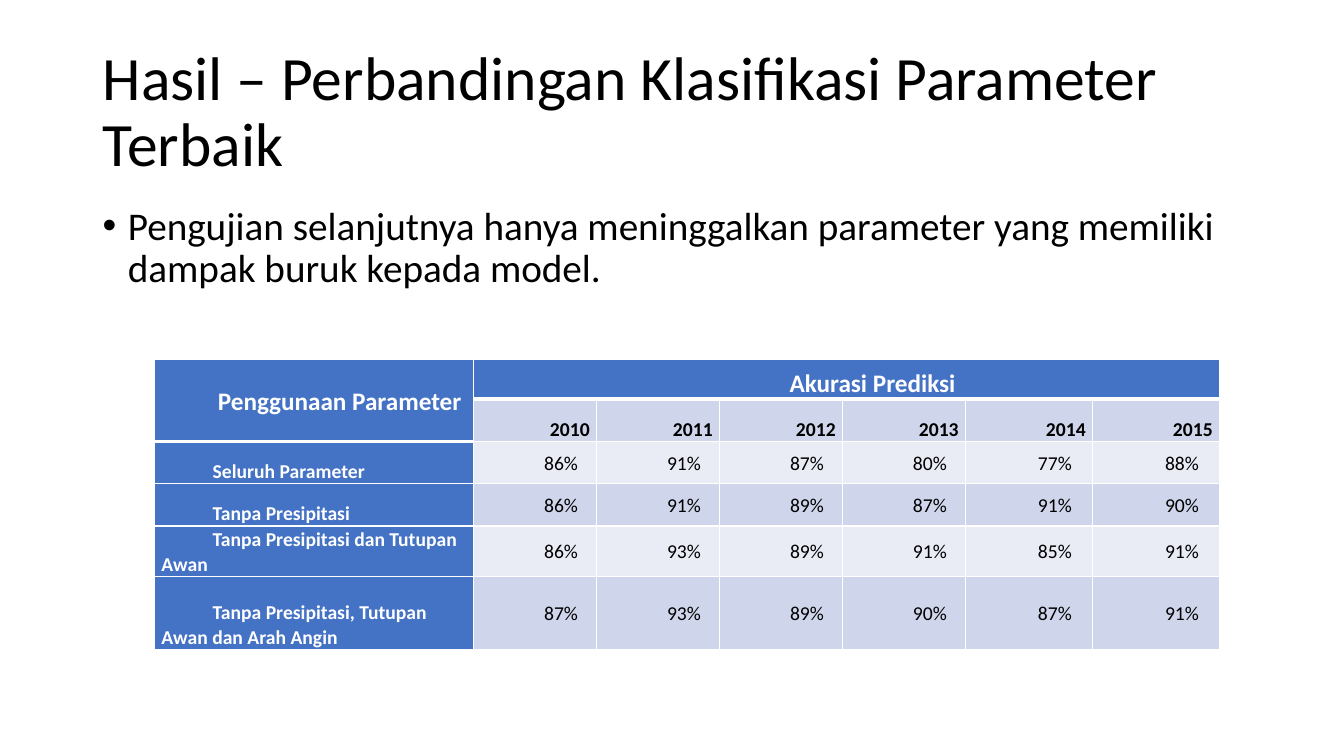
from lxml.etree import SubElement
from pptx import Presentation
from pptx.dml.color import RGBColor
from pptx.enum.text import MSO_ANCHOR as Anchor, PP_ALIGN as Align
from pptx.oxml.ns import qn
from pptx.util import Pt

PX = 9144
FONT = "Calibri"
COLORS = {"ink": "000000", "paper": "FFFFFF", "header": "4472C4",
          "dark_band": "CFD5EA", "light_band": "E9EBF5"}

TITLE = "Hasil – Perbandingan Klasifikasi Parameter Terbaik"
BODY = ("Pengujian selanjutnya hanya meninggalkan parameter "
        "yang memiliki dampak buruk kepada model.")
YEARS = range(2010, 2016)
ACCURACY = {
    "Seluruh Parameter": (86, 91, 87, 80, 77, 88),
    "Tanpa Presipitasi": (86, 91, 89, 87, 91, 90),
    "Tanpa Presipitasi dan Tutupan Awan": (86, 93, 89, 91, 85, 91),
    "Tanpa Presipitasi, Tutupan Awan dan Arah Angin": (87, 93, 89, 90, 87, 91),
}
COLUMN_WIDTHS = [317] + [122] * 4 + [126] * 2
ROW_HEIGHTS = [39] + [42] * 4 + [73]

HEADING = {"size": 18, "bold": True, "color": "paper"}
YEAR = {"size": 14, "bold": True, "color": "ink"}
LABEL = {"size": 14, "bold": True, "color": "paper"}
VALUE = {"size": 14, "bold": False, "color": "ink"}


def set_all(target, values):
    """Set every named attribute on the target."""
    for name, value in values.items():
        setattr(target, name, value)


def write(para, text, style):
    """Add one styled run of text to a paragraph."""
    span = para.add_run()
    span.text = text
    set_all(span.font, {"name": FONT, "size": Pt(style["size"]), "bold": style["bold"]})
    span.font.color.rgb = RGBColor.from_string(COLORS[style["color"]])


def indent(para, margin, first_line):
    """Set the left margin and first-line indent of a paragraph."""
    properties = para._p.get_or_add_pPr()
    properties.set("marL", str(margin * PX))
    properties.set("indent", str(first_line * PX))
    return properties


def add_text(page, box, text, size, anchor):
    """Place a wrapped text box and return its paragraph."""
    frame = page.shapes.add_textbox(*(length * PX for length in box)).text_frame
    set_all(frame, {"word_wrap": True, "vertical_anchor": anchor})
    para = frame.paragraphs[0]
    para.line_spacing = 0.9
    write(para, text, {"size": size, "bold": False, "color": "ink"})
    return para


def add_title(page, box):
    """Place the slide title."""
    add_text(page, box, TITLE, 44, Anchor.MIDDLE)


def add_body(page, box):
    """Place the bulleted statement."""
    para = add_text(page, box, BODY, 28, Anchor.TOP)
    para.space_before = Pt(10)
    properties = indent(para, 25, -25)
    SubElement(properties, qn("a:buFont"), typeface="Arial")
    SubElement(properties, qn("a:buChar"), char="•")


def add_borders(cell, row, column):
    """Draw white cell borders, heavier under the header."""
    header_end = 0 if column else 1
    weights = {"L": 1, "R": 1, "T": 3 if row == header_end + 1 else 1,
               "B": 3 if row <= header_end else 1}
    for side, weight in weights.items():
        line = SubElement(cell._tc.get_or_add_tcPr(), qn(f"a:ln{side}"), w=str(Pt(weight)))
        fill = SubElement(line, qn("a:solidFill"))
        SubElement(fill, qn("a:srgbClr"), val=COLORS["paper"])


def fill_cell(cell, text, style, align, anchor):
    """Write a table cell with its layout."""
    set_all(cell, {"margin_left": 7 * PX, "margin_right": 7 * PX,
                   "margin_top": 0, "margin_bottom": 0, "vertical_anchor": anchor})
    para = cell.text_frame.paragraphs[0]
    set_all(para, {"alignment": align, "line_spacing": 1.07})
    indent(para, 0, 51)
    write(para, text, style)


def add_accuracy_table(page, box):
    """Place the table of prediction accuracy by parameter set and year."""
    table = page.shapes.add_table(len(ROW_HEIGHTS), len(COLUMN_WIDTHS),
                                  *(length * PX for length in box)).table
    for column, width in zip(table.columns, COLUMN_WIDTHS):
        column.width = width * PX
    for row, height in zip(table.rows, ROW_HEIGHTS):
        row.height = height * PX

    for row in range(len(ROW_HEIGHTS)):
        for column in range(len(COLUMN_WIDTHS)):
            cell = table.cell(row, column)
            add_borders(cell, row, column)
            band = "dark_band" if row % 2 else "light_band"
            color = "header" if row == 0 or column == 0 else band
            cell.fill.solid()
            cell.fill.fore_color.rgb = RGBColor.from_string(COLORS[color])

    table.cell(0, 0).merge(table.cell(1, 0))
    table.cell(0, 1).merge(table.cell(0, len(YEARS)))
    fill_cell(table.cell(0, 0), "Penggunaan Parameter", HEADING, Align.CENTER, Anchor.MIDDLE)
    fill_cell(table.cell(0, 1), "Akurasi Prediksi", HEADING, Align.CENTER, Anchor.BOTTOM)
    for column, year in enumerate(YEARS, 1):
        fill_cell(table.cell(1, column), str(year), YEAR, Align.RIGHT, Anchor.BOTTOM)
    for row, (label, values) in enumerate(ACCURACY.items(), 2):
        fill_cell(table.cell(row, 0), label, LABEL, Align.LEFT, Anchor.BOTTOM)
        for column, value in enumerate(values, 1):
            fill_cell(table.cell(row, column), f"{value}%", VALUE, Align.CENTER, Anchor.MIDDLE)


def main():
    """Build and save the slide."""
    deck = Presentation()
    set_all(deck, {"slide_width": 1333 * PX, "slide_height": 750 * PX})
    page = deck.slides.add_slide(deck.slide_layouts[6])
    add_title(page, (92, 40, 1150, 145))
    add_body(page, (92, 200, 1150, 476))
    add_accuracy_table(page, (153, 357, sum(COLUMN_WIDTHS), sum(ROW_HEIGHTS)))
    deck.save("out.pptx")


if __name__ == "__main__":
    main()
